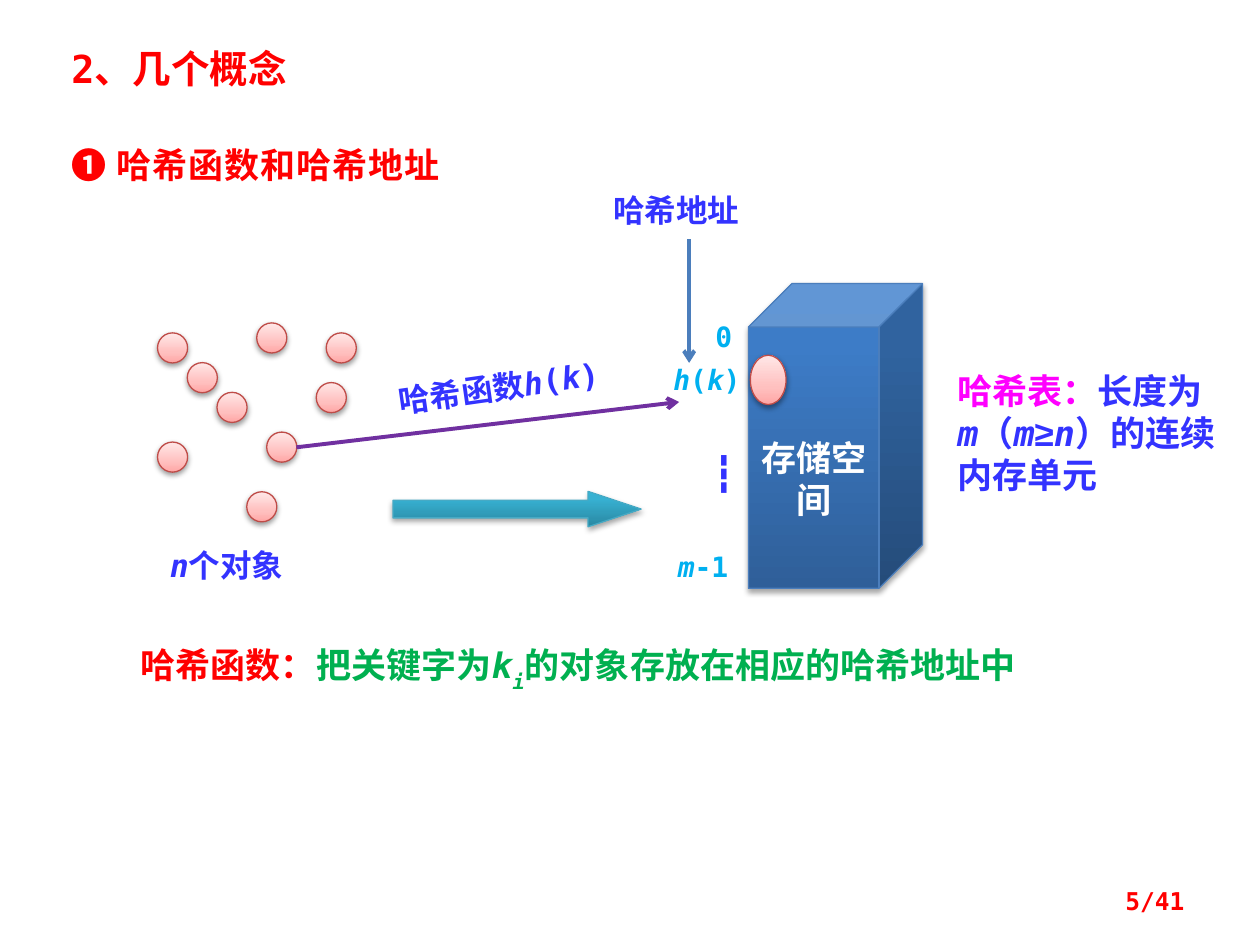
from lxml import etree
from pptx import Presentation
from pptx import util as u
from pptx.dml.color import RGBColor
from pptx.enum import shapes, text
from pptx.oxml import parse_xml
from pptx.oxml.ns import nsdecls, qn

Pt = u.Pt
color = RGBColor.from_string
RED, BLUE, GREEN, CYAN, MAGENTA = "FF0000", "3333FF", "00B050", "00B0F0", "FF00FF"
LEFT, CENTER, RIGHT = text.PP_ALIGN.LEFT, text.PP_ALIGN.CENTER, text.PP_ALIGN.RIGHT
ITALIC = {"italic": True}
PINK = [(0, "FFA6A5"), (35, "FFC0BF"), (100, "FFE7E7")]
TEAL = [(0, "2A88A2"), (80, "37B1D2"), (100, "34B4D6")]
NAVY = [(0, "2F5F99"), (80, "3D7CC7"), (100, "3A7CCB")]


def write(paragraph, runs, size, font_color, align=LEFT):
    """Add (string, changes) runs; changes override the common bold format."""
    paragraph.alignment = align
    for string, changes in runs:
        run = paragraph.add_run()
        run.text = string
        values = {"name": "DejaVu Sans Mono", "size": Pt(size), "bold": True,
                  "color": font_color, **changes}
        run.font.color.rgb = color(values.pop("color"))
        properties = run._r.get_or_add_rPr()
        for attribute in ("baseline", "spc"):
            if attribute in values:
                properties.set(attribute, values.pop(attribute))
        for name, value in values.items():
            setattr(run.font, name, value)


def add_solid(kind, box, stops, line_color, alpha=38, distance=1.6):
    """Add a shape with a bottom-to-top gradient and a soft shadow below it."""
    shape = slide.shapes.add_shape(kind, *map(Pt, box))
    shape.line.color.rgb = color(line_color)
    shape.line.width = Pt(0.75)
    stop_xml = "".join(f'<a:gs pos="{position * 1000}"><a:srgbClr val="{value}"/></a:gs>'
                       for position, value in stops)
    properties = shape._element.spPr
    properties.find(qn("a:prstGeom")).addnext(parse_xml(
        f'<a:gradFill {nsdecls("a")} rotWithShape="1"><a:gsLst>{stop_xml}</a:gsLst>'
        '<a:lin ang="16200000" scaled="0"/></a:gradFill>'))
    properties.append(parse_xml(
        f'<a:effectLst {nsdecls("a")}><a:outerShdw blurRad="{Pt(3.1)}" dist="{Pt(distance)}" '
        f'dir="5400000" rotWithShape="0"><a:srgbClr val="000000"><a:alpha val="{alpha * 1000}"/>'
        '</a:srgbClr></a:outerShdw></a:effectLst>'))
    return shape


presentation = Presentation()
presentation.slide_width, presentation.slide_height = Pt(720), Pt(540)
slide = presentation.slides.add_slide(presentation.slide_layouts[6])

# Mapping arrow and storage block
arrow = add_solid(shapes.MSO_SHAPE.RIGHT_ARROW, (224.6, 280.8, 141.8, 20.2), TEAL, "46AAC5", 35, 1.8)
arrow.adjustments[1] = 1.5
storage = add_solid(shapes.MSO_SHAPE.CUBE, (427.7, 162, 99.4, 174.2), NAVY, "4B7EBC", 35, 1.8)
frame = storage.text_frame
frame.word_wrap = True
frame.vertical_anchor = text.MSO_ANCHOR.MIDDLE
frame.margin_top = Pt(27.6)
write(frame.paragraphs[0], [("存储空间", {})], 20, "FFFFFF", CENTER)

# Objects, and the one stored in the table
OBJECT_SIZE = 17.2
for left, top in [(90, 190.2), (107, 207.2), (124, 224.2), (146.7, 184.5), (90, 252.6),
                  (152.4, 246.9), (180.7, 218.6), (141, 281), (186.4, 190.2)]:
    add_solid(shapes.MSO_SHAPE.OVAL, (left, top, OBJECT_SIZE, OBJECT_SIZE), PINK, "BF4C48")
add_solid(shapes.MSO_SHAPE.OVAL, (428.8, 203, 20.4, 28.2), PINK, "BF4C48")

# Box, size, colour, alignment, rotation, runs
hash_of_key = [("h", ITALIC), ("(", {}), ("k", ITALIC), (")", {})]
labels = [
    ((33.8, 22.3, 180, 33.8), 22, RED, LEFT, 0, [("2、几个概念", {})]),
    ((33.8, 78.5, 281.5, 31.7), 20, RED, LEFT, 0, [("❶ 哈希函数和哈希地址", {"spc": "50"})]),
    ((73.4, 364.3, 551.5, 31.7), 20, GREEN, LEFT, 0,
     [("哈希函数：", {"color": RED}), ("把关键字为", {}), ("k", ITALIC),
      ("i", {"italic": True, "baseline": "-30000"}), ("的对象存放在相应的哈希地址中", {})]),
    ((220.3, 206.6, 133.9, 28.8), 18, BLUE, LEFT, 351.9, [("哈希函数", {})] + hash_of_key),
    ((90, 308.2, 95.8, 28.8), 18, BLUE, LEFT, 0, [("n", ITALIC), ("个对象", {})]),
    ((540, 207.4, 163.4, 79.9), 20, BLUE, LEFT, 0,
     [("哈希表：", {"color": MAGENTA}), ("长度为", {}), ("m", ITALIC), ("（", {}),
      ("m", ITALIC), ("≥", {"name": "Arial"}), ("n", ITALIC), ("）的连续内存单元", {})]),
    ((399.6, 179.3, 28.1, 26.6), 16, CYAN, CENTER, 0, [("0", {})]),
    ((376.6, 310.3, 50.4, 26.6), 16, CYAN, CENTER, 0, [("m", ITALIC), ("-1", {})]),
    ((399.6, 254.2, 28.1, 31.7), 20, BLUE, CENTER, 0, [("┇", {})]),
    ((343.4, 105.8, 106.6, 28.8), 18, BLUE, LEFT, 0, [("哈希地址", {})]),
    ((373, 203.8, 61.9, 26.6), 16, CYAN, CENTER, 0, hash_of_key),
    ((516.2, 500.4, 167.8, 28.8), 14, RED, RIGHT, 0, [("5/41", {})]),
]
for box, size, font_color, align, rotation, runs in labels:
    label = slide.shapes.add_textbox(*map(Pt, box))
    label.rotation = rotation
    label.text_frame.word_wrap = True
    if align == RIGHT:
        label.text_frame.vertical_anchor = text.MSO_ANCHOR.MIDDLE
    write(label.text_frame.paragraphs[0], runs, size, font_color, align)

# Address pointer and hash function arrow
for ends, line_color in [((393.8, 136.8, 393.8, 207.4), "4B7EBC"),
                         ((169.4, 255.6, 388.1, 229.7), "7030A0")]:
    connector = slide.shapes.add_connector(shapes.MSO_CONNECTOR.STRAIGHT, *map(Pt, ends))
    connector.line.color.rgb = color(line_color)
    connector.line.width = Pt(2.25)
    etree.SubElement(connector.line._get_or_add_ln(), qn("a:tailEnd"), type="arrow")
    etree.SubElement(connector._element.spPr, qn("a:effectLst"))

presentation.save("out.pptx")
